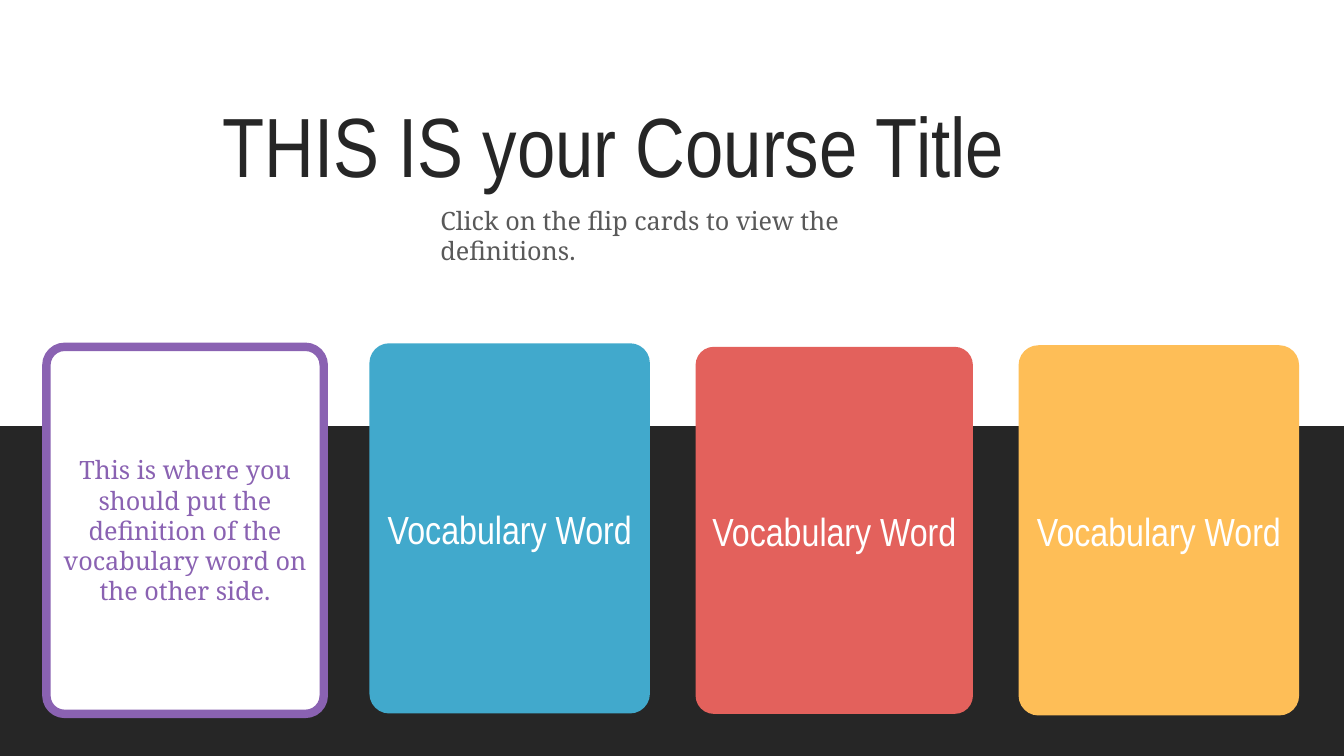
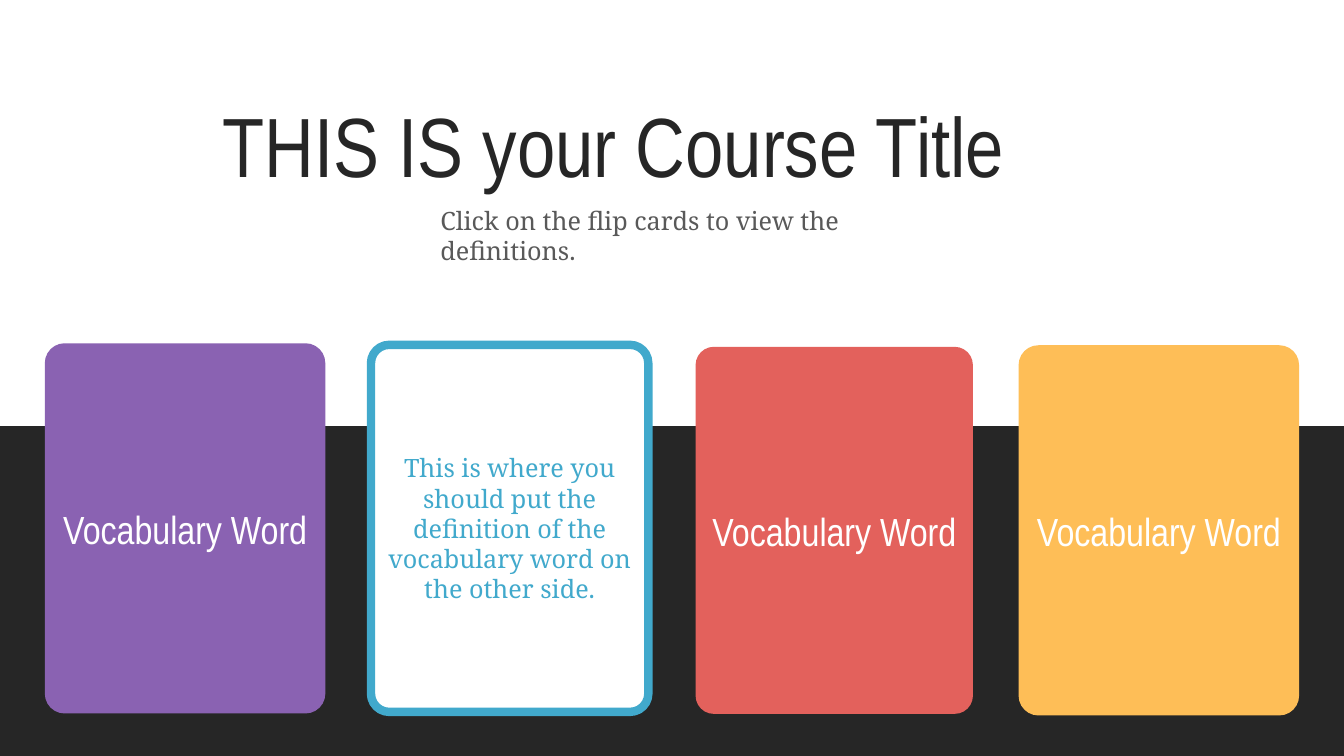
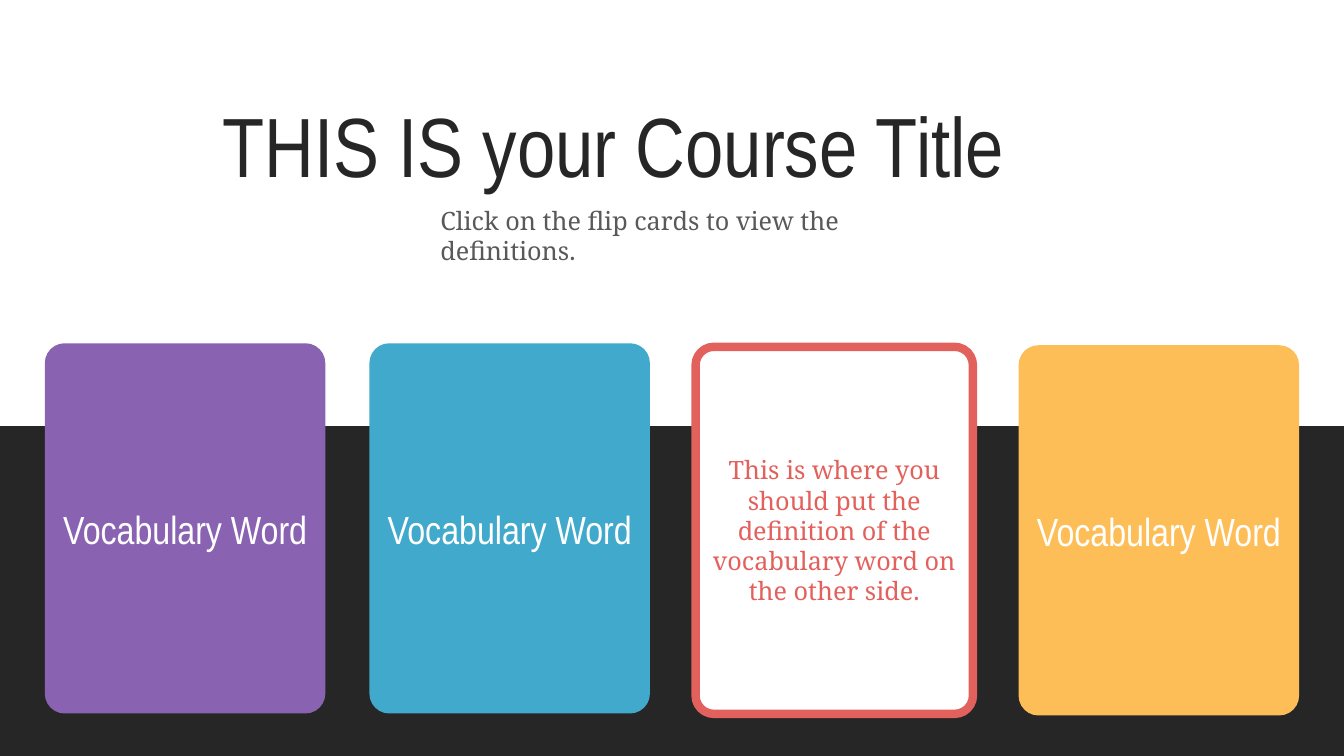
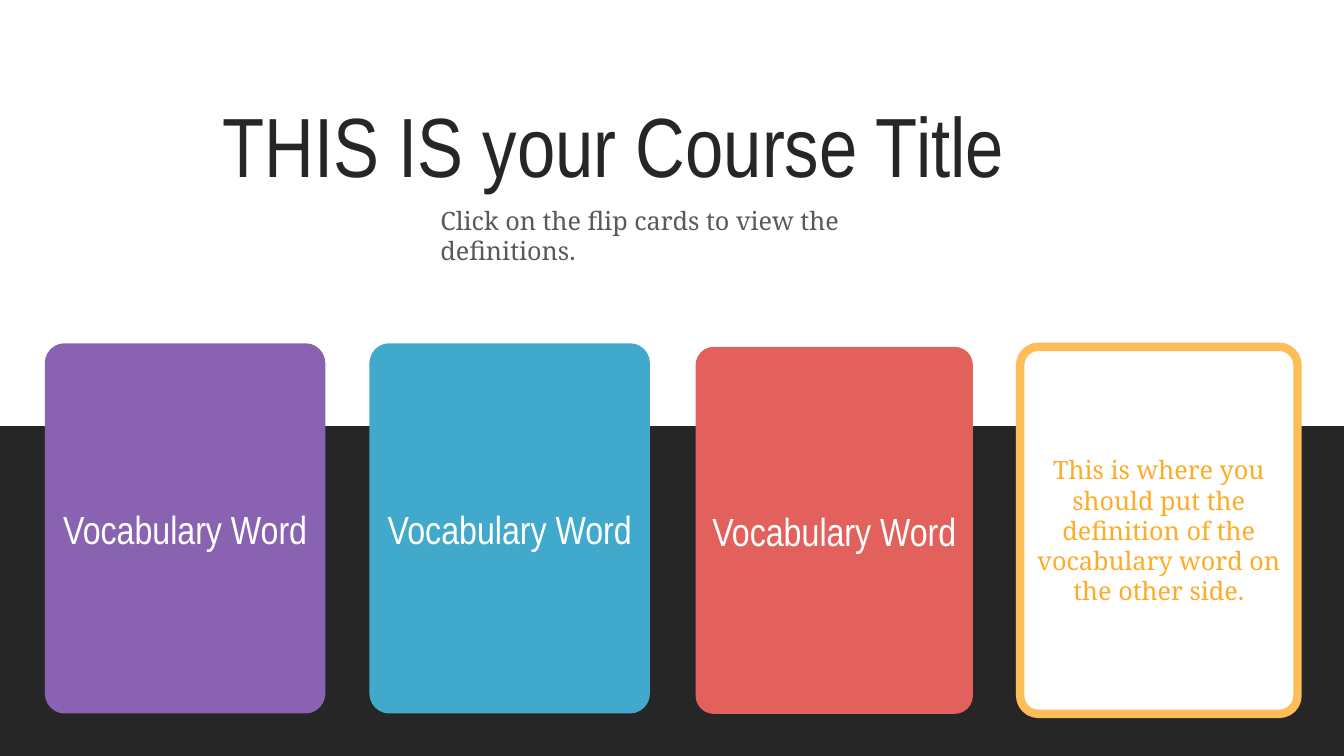
"""Build four flip card slides: each one turns over a different card."""
from dataclasses import dataclass

from pptx import Presentation
from pptx.dml.color import RGBColor
from pptx.enum.shapes import MSO_SHAPE
from pptx.enum.text import MSO_ANCHOR, MSO_AUTO_SIZE, PP_ALIGN
from pptx.shapes.autoshape import Shape
from pptx.slide import Slide
from pptx.text.text import TextFrame
from pptx.util import Cm, Pt

RECT, ROUND = MSO_SHAPE.RECTANGLE, MSO_SHAPE.ROUNDED_RECTANGLE
TOP, MIDDLE = MSO_ANCHOR.TOP, MSO_ANCHOR.MIDDLE
LEFT, CENTER = PP_ALIGN.LEFT, PP_ALIGN.CENTER
FIXED = MSO_AUTO_SIZE.NONE

HEX = {
    "white": "FFFFFF", "dark": "262626", "gray": "595959",
    "purple": "8A62B2", "blue": "41A9CC", "red": "E3615C",
    "yellow": "FEBE57", "amber": "FEAC26",
}
SANS, SERIF = "Arial Narrow", "Noto Serif"

TITLE = "THIS IS your Course Title"
HINT = "Click on the flip cards to view the definitions."
WORD = "Vocabulary Word"
MEANING = ("This is where you should put the definition of the "
           "vocabulary word on the other side.")

WIDE, HIGH = 33.87, 19.05
BAND_TOP = 10.74
CARD_LEFT, CARD_STEP = 1.17, 8.18
CARD_WIDE, CARD_HIGH = 6.99, 9.25
CORNER = 0.066
UPPER, LOWER = 8.69, 8.74


@dataclass(frozen=True)
class Box:
    """A place on the slide, in centimetres."""
    left: float
    top: float
    wide: float
    high: float


@dataclass(frozen=True)
class Style:
    """The look of a text."""
    font: str
    size: int
    color: str
    align: PP_ALIGN = LEFT
    anchor: MSO_ANCHOR = TOP


@dataclass(frozen=True)
class Card:
    """A flip card: its colour, text colour on the back, tops and edge."""
    color: str
    ink: str
    front_top: float
    back_top: float
    edge: float = 2.25


CARDS = (
    Card("purple", "purple", UPPER, LOWER),
    Card("blue", "blue", UPPER, UPPER),
    Card("red", "red", LOWER, LOWER, edge=0),
    Card("yellow", "amber", LOWER, LOWER),
)
BACK_EDGE = 6


def rgb(name: str) -> RGBColor:
    """Look up a colour by name."""
    return RGBColor.from_string(HEX[name])


def write(frame: TextFrame, text: str, style: Style) -> None:
    """Put one styled run into a text frame."""
    frame.word_wrap = True
    frame.auto_size = FIXED
    frame.vertical_anchor = style.anchor
    para = frame.paragraphs[0]
    para.alignment = style.align
    run = para.add_run()
    run.text = text
    run.font.name = style.font
    run.font.size = Pt(style.size)
    run.font.color.rgb = rgb(style.color)


def place(shape: Shape, box: Box) -> None:
    """Move and size a shape."""
    shape.left, shape.top = Cm(box.left), Cm(box.top)
    shape.width, shape.height = Cm(box.wide), Cm(box.high)


def add_block(slide: Slide, kind: MSO_SHAPE, box: Box, fill: str,
              line: str, edge: float) -> Shape:
    """Add a filled shape; an edge of zero means no outline."""
    shape = slide.shapes.add_shape(kind, 0, 0, 0, 0)
    place(shape, box)
    shape.shadow.inherit = False
    shape.fill.solid()
    shape.fill.fore_color.rgb = rgb(fill)
    if edge:
        shape.line.color.rgb = rgb(line)
        shape.line.width = Pt(edge)
    else:
        shape.line.fill.background()
    return shape


def add_frame(slide: Slide) -> None:
    """Add the band, title and hint that every slide has."""
    add_block(slide, RECT, Box(0, BAND_TOP, WIDE, HIGH - BAND_TOP),
              "dark", "dark", 0)
    title = slide.shapes.title
    place(title, Box(5.36, 2.24, 23.14, 2.82))
    write(title.text_frame, TITLE, Style(SANS, 60, "dark"))
    hint = slide.shapes.add_textbox(0, 0, 0, 0)
    place(hint, Box(10.85, 5.05, 13.26, 1.02))
    write(hint.text_frame, HINT, Style(SERIF, 18, "gray"))


def add_card(slide: Slide, card: Card, spot: int, turned: bool) -> None:
    """Add a card with its word, or with its meaning when turned."""
    if turned:
        top, fill, edge = card.back_top, "white", BACK_EDGE
        text, style = MEANING, Style(SERIF, 18, card.ink, CENTER, MIDDLE)
    else:
        top, fill, edge = card.front_top, card.color, card.edge
        text, style = WORD, Style(SANS, 28, "white", CENTER, MIDDLE)
    box = Box(CARD_LEFT + spot * CARD_STEP, top, CARD_WIDE, CARD_HIGH)
    shape = add_block(slide, ROUND, box, fill, card.color, edge)
    shape.adjustments[0] = CORNER
    write(shape.text_frame, text, style)


def main() -> None:
    """Build one slide for each turned card and save the deck."""
    deck = Presentation()
    deck.slide_width, deck.slide_height = Cm(WIDE), Cm(HIGH)
    layout = deck.slide_layouts.get_by_name("Title Only")
    for turned in CARDS:
        slide = deck.slides.add_slide(layout)
        add_frame(slide)
        for spot, card in enumerate(CARDS):
            add_card(slide, card, spot, card is turned)
    deck.save("out.pptx")


main()
